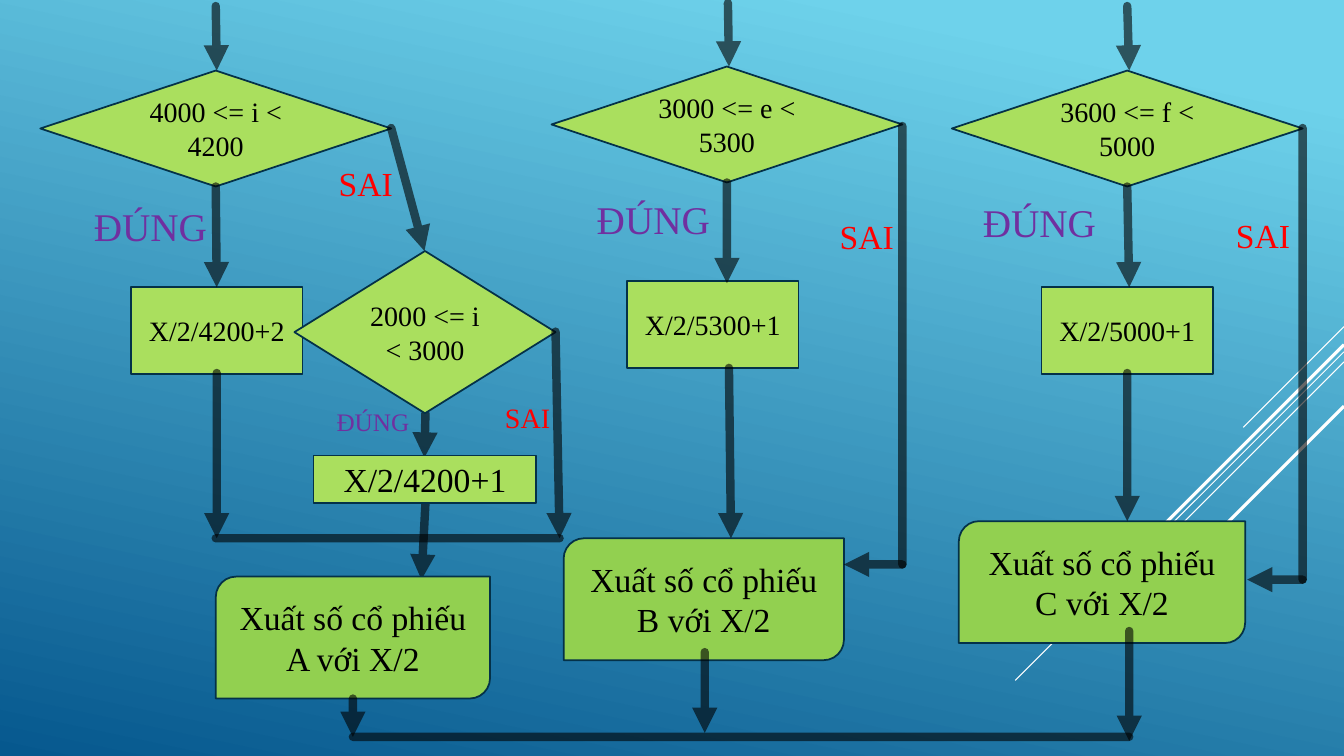
from pptx import Presentation
from pptx.dml.color import RGBColor
from pptx.enum.shapes import MSO_CONNECTOR, MSO_SHAPE as Shape
from pptx.enum.text import MSO_ANCHOR as Anchor, PP_ALIGN as Align
from pptx.oxml.ns import qn
from pptx.util import Cm, Pt
from lxml.etree import SubElement

FONT = "Times New Roman"
BLACK = RGBColor(0x00, 0x00, 0x00)
WHITE = RGBColor(0xFF, 0xFF, 0xFF)
LIME = RGBColor(0xAA, 0xDF, 0x5E)
GREEN = RGBColor(0x92, 0xD0, 0x50)
NAVY = RGBColor(0x04, 0x31, 0x48)
PURPLE = RGBColor(0x70, 0x30, 0xA0)
RED = RGBColor(0xFF, 0x00, 0x00)
SKY = RGBColor(0x6E, 0xD2, 0xEB)
DEEP_BLUE = RGBColor(0x06, 0x58, 0x8E)

# Right edge of the slide, where the diagonal stripes begin
EDGE = 13.33


def inches(*values):
    return [Cm(value * 2.54) for value in values]


def set_text(shape, text, size, color, anchor, align):
    frame = shape.text_frame
    frame.text = text
    frame.word_wrap = True
    frame.vertical_anchor = anchor
    para = frame.paragraphs[0]
    para.alignment = align
    para.font.name = FONT
    para.font.size = Pt(size)
    para.font.color.rgb = color


def add_line(page, start, end, color, width):
    line = page.shapes.add_connector(MSO_CONNECTOR.STRAIGHT, *inches(*start, *end))
    line.line.color.rgb = color
    line.line.width = Pt(width)
    SubElement(line._element.spPr, qn("a:effectLst"))
    return line


def add_flow(page, start, end, arrow=True):
    """Thick translucent line with round ends, normally an arrow."""
    flow = add_line(page, start, end, BLACK, 6)
    ln = flow.line._get_or_add_ln()
    ln.set("cap", "rnd")
    SubElement(ln.find(".//" + qn("a:srgbClr")), qn("a:alpha"), val="60000")
    if arrow:
        SubElement(ln, qn("a:tailEnd"), type="triangle")


def add_box(page, kind, place, text, size=20, fill=LIME):
    box = page.shapes.add_shape(kind, *inches(*place))
    box.shadow.inherit = False
    box.fill.solid()
    box.fill.fore_color.rgb = fill
    box.line.color.rgb = NAVY
    box.line.width = Pt(1.25)
    set_text(box, text, size, BLACK, Anchor.MIDDLE, Align.CENTER)


def add_label(page, place, text, size, color, anchor=Anchor.TOP):
    label = page.shapes.add_textbox(*inches(*place))
    set_text(label, text, size, color, anchor, Align.LEFT)
    return label


def paint_background(page):
    fill = page.background.fill
    fill.gradient()
    fill.gradient_angle = 258
    for stop, position, color in zip(fill.gradient_stops, (0.1, 1), (SKY, DEEP_BLUE)):
        stop.position = position
        stop.color.rgb = color
    # Diagonal stripes: start height, run, weight
    for top, run, weight in ((3.24, 1, 0.75), (3.49, 3.26, 0.75), (3.59, 2.07, 0.75),
                             (3.42, 1.91, 2.25), (4.03, 1.39, 2.25)):
        add_line(page, (EDGE, top), (EDGE - run, top + run), WHITE, weight)


def add_boxes(page):
    # Conditions
    for left, top, text in ((0.4, 0.7, "4000 <= i < 4200"),
                            (5.47, 0.66, "3000 <= e < 5300"),
                            (9.44, 0.7, "3600 <= f < 5000")):
        add_box(page, Shape.DIAMOND, (left, top, 3.48, 1.15), text)
    # Calculations
    for left, top, text in ((1.3, 2.85, "X/2/4200+2"),
                            (6.22, 2.79, "X/2/5300+1"),
                            (10.33, 2.85, "X/2/5000+1")):
        add_box(page, Shape.RECTANGLE, (left, top, 1.7, 0.86), text)
    # Second check of the first branch
    add_box(page, Shape.DIAMOND, (2.92, 2.49, 2.59, 1.61), "2000 <= i < 3000")
    add_box(page, Shape.RECTANGLE, (3.11, 4.52, 2.21, 0.47), "X/2/4200+1", 24)
    # Outputs
    for name, left, top, width in (("A", 2.14, 5.72, 2.72),
                                   ("B", 5.59, 5.34, 2.78),
                                   ("C", 9.51, 5.17, 2.84)):
        add_box(page, Shape.ROUND_2_DIAG_RECTANGLE, (left, top, width, 1.21),
                f"Xuất số cổ phiếu {name} với X/2", 24, GREEN)


def add_labels(page):
    # The first "true" label is the title
    title = page.shapes.title
    title.left, title.top, title.width, title.height = inches(0.83, 1.83, 1.35, 0.69)
    set_text(title, "ĐÚNG", 28, PURPLE, Anchor.BOTTOM, Align.LEFT)
    for left, top in ((5.82, 0.99), (9.65, 1.02)):
        add_label(page, (left, top, 1.72, 2.37), "ĐÚNG", 28, PURPLE, Anchor.MIDDLE)
    small = add_label(page, (3.24, 3.98, 0.93, 0.4), "ĐÚNG", 18, PURPLE)
    small.text_frame.word_wrap = False
    for left, top, size in ((3.26, 1.57, 24), (8.23, 2.09, 24),
                            (4.91, 3.92, 20), (12.16, 2.08, 24)):
        add_label(page, (left, top, 0.82, 0.69), "SAI", size, RED)


def main():
    deck = Presentation()
    deck.slide_width, deck.slide_height = inches(EDGE, 7.5)
    page = deck.slides.add_slide(deck.slide_layouts[5])
    paint_background(page)

    # Arrows whose heads lie behind the boxes
    for start, end in (((2.14, 0.06), (2.15, 0.7)), ((7.22, 0.03), (7.23, 0.66)),
                       ((11.18, 0.06), (11.2, 0.7)), ((4.22, 4.1), (4.21, 4.54)),
                       ((4.22, 4.99), (4.18, 5.75))):
        add_flow(page, start, end)

    add_boxes(page)
    add_labels(page)

    # Arrows from conditions to the next step
    for start, end in (((2.14, 1.85), (2.15, 2.85)), ((3.88, 1.27), (4.21, 2.49)),
                       ((7.21, 1.81), (7.21, 2.81)), ((11.18, 1.85), (11.2, 2.85)),
                       ((5.51, 3.29), (5.55, 5.34))):
        add_flow(page, start, end)
    # Arrows from calculations
    for start, end in (((2.15, 3.7), (2.15, 5.34)), ((7.23, 3.65), (7.25, 5.34)),
                       ((11.18, 3.7), (11.18, 5.17))):
        add_flow(page, start, end)
    # "False" paths that turn into outputs B and C
    for x, top, bottom, target in ((8.95, 1.25, 5.6, 8.37), (12.92, 1.27, 5.75, 12.37)):
        add_flow(page, (x, top), (x, bottom), arrow=False)
        add_flow(page, (x, bottom), (target, bottom))
    # Arrows out of the outputs
    for x, top, bottom in ((3.5, 6.93, 7.31), (6.99, 6.47, 7.27), (11.2, 6.26, 7.35)):
        add_flow(page, (x, top), (x, bottom))
    # Joining lines
    for left, right, y in ((2.14, 5.55, 5.34), (3.5, 11.2, 7.31)):
        add_flow(page, (left, y), (right, y), arrow=False)

    deck.save("out.pptx")


main()
